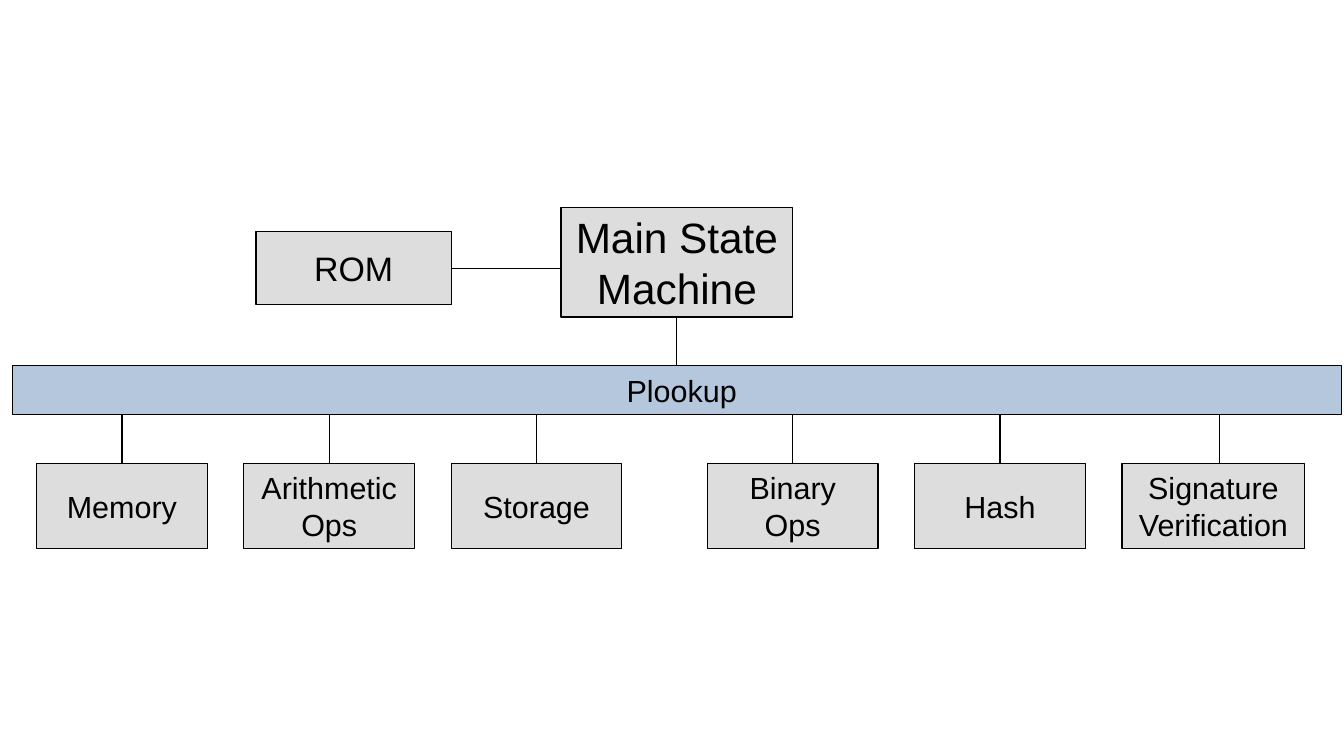
import pptx
import pptx.dml.color
import pptx.enum.shapes
import pptx.enum.text
import pptx.oxml.ns
import pptx.util
from lxml import etree

EMU_PER_PX = 9144  # 100 px to the inch
BLACK, GREY, BLUE = "000000", "DDDDDD", "B4C7DC"
LINE_WIDTH = 0.71

MAIN_BOX = (460, 170, 190, 90)
ROM_BOX = (210, 190, 160, 60)
LOOKUP_BAR = (10, 300, 1090, 40)
LOOKUP_LABEL = (504, 287, 110, 66)
UNIT_TOP, UNIT_HEIGHT, UNIT_PITCH = 380, 70, 170
UNIT_GROUPS = [
    (30, [("Memory", 140), ("Arithmetic Ops", 140), ("Storage", 140)]),
    (580, [("Binary Ops", 140), ("Hash", 140), ("Signature Verification", 150)]),
]


def px(length):
    return pptx.util.Emu(length * EMU_PER_PX)


def color(hex_string):
    return pptx.dml.color.RGBColor.from_string(hex_string)


def set_all(target, values):
    for name, value in values.items():
        setattr(target, name, value)


def set_line(line):
    line.color.rgb = color(BLACK)
    line.width = pptx.util.Pt(LINE_WIDTH)


def write(shape, text, size, wrap=True):
    frame = shape.text_frame
    set_all(frame, {
        "word_wrap": wrap,
        "vertical_anchor": pptx.enum.text.MSO_ANCHOR.MIDDLE,
        "margin_left": px(10), "margin_right": px(10),
        "margin_top": px(5), "margin_bottom": px(5),
    })
    paragraph = frame.paragraphs[0]
    paragraph.alignment = pptx.enum.text.PP_ALIGN.CENTER
    run = paragraph.add_run()
    run.text = text
    set_all(run.font, {"name": "Arial", "size": pptx.util.Pt(size)})
    run.font.color.rgb = color(BLACK)


def add_box(slide, box, fill):
    shape = slide.shapes.add_shape(
        pptx.enum.shapes.MSO_SHAPE.RECTANGLE, *map(px, box))
    shape.shadow.inherit = False
    shape.fill.solid()
    shape.fill.fore_color.rgb = color(fill)
    set_line(shape.line)
    return shape


def add_line(slide, *ends):
    connector = slide.shapes.add_connector(
        pptx.enum.shapes.MSO_CONNECTOR.STRAIGHT, *map(px, ends))
    set_line(connector.line)
    etree.SubElement(connector._element.spPr, pptx.oxml.ns.qn("a:effectLst"))


def add_main_machine(slide, box, rom_box, bar_top):
    """Draw the main machine, the ROM beside it and their links."""
    left, top, width, height = box
    rom_left, rom_top, rom_width, rom_height = rom_box
    write(add_box(slide, box, GREY), "Main State Machine", 25)
    write(add_box(slide, rom_box, GREY), "ROM", 20)
    center, link_y = left + width // 2, rom_top + rom_height // 2
    add_line(slide, center, top + height, center, bar_top)
    add_line(slide, rom_left + rom_width, link_y, left, link_y)


def add_lookup(slide, bar, label_box):
    add_box(slide, bar, BLUE)
    label = slide.shapes.add_textbox(*map(px, label_box))
    write(label, "Plookup", 18, wrap=False)


def add_unit(slide, box, text, bar_bottom):
    """Draw one unit and its stem, whose x is rounded up to a 10 px grid."""
    left, top, width, height = box
    write(add_box(slide, box, GREY), text, 18)
    stem = left + (width + 10) // 20 * 10
    add_line(slide, stem, top, stem, bar_bottom)


def main():
    presentation = pptx.Presentation()
    set_all(presentation, {"slide_width": px(1102), "slide_height": px(620)})
    slide = presentation.slides.add_slide(presentation.slide_layouts[6])
    bar_top, bar_height = LOOKUP_BAR[1], LOOKUP_BAR[3]
    add_main_machine(slide, MAIN_BOX, ROM_BOX, bar_top)
    add_lookup(slide, LOOKUP_BAR, LOOKUP_LABEL)
    for group_left, units in UNIT_GROUPS:
        for index, (text, width) in enumerate(units):
            box = (group_left + index * UNIT_PITCH, UNIT_TOP, width, UNIT_HEIGHT)
            add_unit(slide, box, text, bar_top + bar_height)
    presentation.save("out.pptx")


if __name__ == "__main__":
    main()
